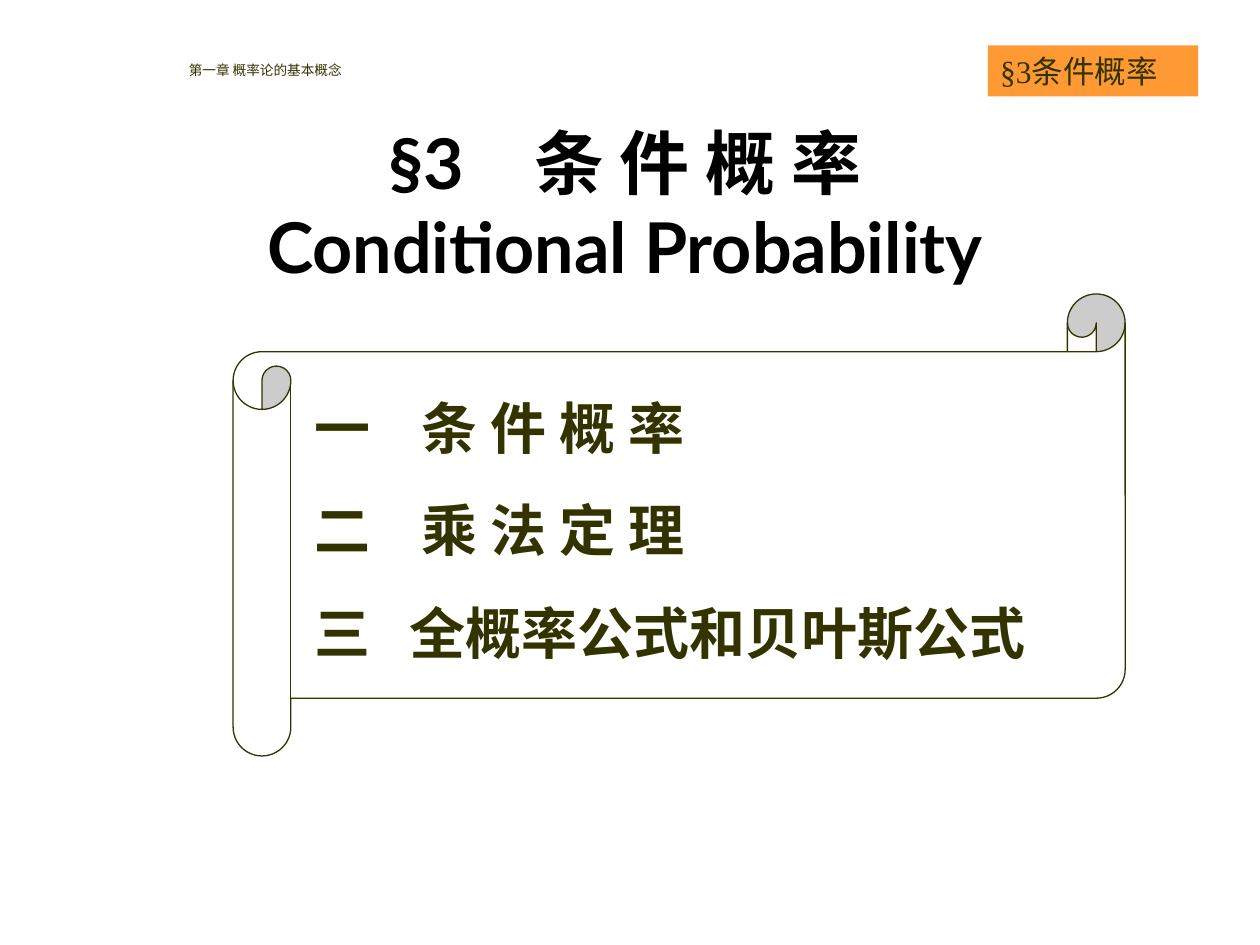
import pptx
import pptx.dml.color
import pptx.enum.shapes
import pptx.enum.text
import pptx.oxml.ns
import pptx.util
from lxml import etree

# Content
CHAPTER = "第一章 概率论的基本概念"
BADGE = "§3条件概率"
TITLE = ["§3　条 件 概 率", "Conditional Probability"]
# Number, topic, distance of the topic from the left inset in inches
TOPICS = [
    ("一", "条 件 概 率", 0.85),
    ("二", "乘 法 定 理", 0.85),
    ("三", "全概率公式和贝叶斯公式", 0.75),
]

# Style
COLORS = {"ink": "333300", "black": "000000", "paper": "FFFFFF", "badge": "FF9933"}
CHINESE = "Noto Sans CJK SC"
SHAPES = pptx.enum.shapes.MSO_SHAPE
ANCHOR = pptx.enum.text.MSO_ANCHOR
ALIGN = pptx.enum.text.PP_ALIGN

# Places as left, top, width, height in shares of the slide
WIDTH, HEIGHT = 10, 7.5
PLACES = {
    "scroll": (0.185, 0.311, 0.708, 0.489),
    "topics": (0.24, 0.41, 0.65, 0.3),
    "chapter": (0.14, 0.059, 0.85, 0.033),
    "badge": (0.784, 0.048, 0.167, 0.054),
    "title": (0.059, 0.143, 0.874, 0.168),
}


def box(name):
    left, top, width, height = PLACES[name]
    return [pptx.util.Inches(length) for length in
            (left * WIDTH, top * HEIGHT, width * WIDTH, height * HEIGHT)]


def color(name):
    return pptx.dml.color.RGBColor.from_string(COLORS[name])


def add_panel(slide, name, kind, fill, line=None):
    shape = slide.shapes.add_shape(kind, *box(name))
    shape.shadow.inherit = False
    shape.fill.solid()
    shape.fill.fore_color.rgb = color(fill)
    if line:
        shape.line.color.rgb = color(line)
        shape.line.width = pptx.util.Pt(0.75)
    else:
        shape.line.fill.background()
    return shape


def write(shape, lines, *, size, font=CHINESE, ink="ink", bold=False, align=ALIGN.LEFT,
          anchor=ANCHOR.TOP, spacing=None, gap=0, tabs=()):
    frame = shape.text_frame
    frame.word_wrap = True
    frame.vertical_anchor = anchor
    for index, line in enumerate(lines):
        paragraph = frame.paragraphs[0] if index == 0 else frame.add_paragraph()
        paragraph.alignment = align
        if spacing:
            paragraph.line_spacing = spacing
        if index and gap:
            paragraph.space_before = pptx.util.Pt(gap)
        if tabs:
            properties = paragraph._p.get_or_add_pPr()
            stops = etree.SubElement(properties, pptx.oxml.ns.qn("a:tabLst"))
            etree.SubElement(stops, pptx.oxml.ns.qn("a:tab"),
                             pos=str(pptx.util.Inches(tabs[index])), algn="l")
        paragraph.text = line
        for run in paragraph.runs:
            run.font.size = pptx.util.Pt(size)
            run.font.bold = bold
            run.font.name = font
            run.font.color.rgb = color(ink)
            east_asian = etree.SubElement(run.font._element, pptx.oxml.ns.qn("a:ea"))
            east_asian.set("typeface", CHINESE)


def main():
    presentation = pptx.Presentation()
    presentation.slide_width = pptx.util.Inches(WIDTH)
    presentation.slide_height = pptx.util.Inches(HEIGHT)
    slide = presentation.slides.add_slide(presentation.slide_layouts[6])

    # Scroll with the list of topics
    add_panel(slide, "scroll", SHAPES.HORIZONTAL_SCROLL, "paper", "ink")
    write(slide.shapes.add_textbox(*box("topics")),
          [f"{number}\t{topic}" for number, topic, _ in TOPICS],
          size=32, bold=True, spacing=pptx.util.Pt(38.4), gap=20,
          tabs=[tab for _, _, tab in TOPICS])

    # Chapter line and section badge
    write(slide.shapes.add_textbox(*box("chapter")), [CHAPTER],
          size=7.8, anchor=ANCHOR.MIDDLE, spacing=0.8)
    write(add_panel(slide, "badge", SHAPES.RECTANGLE, "badge"), [BADGE],
          size=18, font="Times New Roman", anchor=ANCHOR.MIDDLE)

    # Title, two lines of one paragraph
    write(slide.shapes.add_textbox(*box("title")), ["\v".join(TITLE)],
          size=40, font="Lato", ink="black", bold=True, align=ALIGN.CENTER,
          anchor=ANCHOR.BOTTOM, spacing=pptx.util.Pt(48))

    presentation.save("out.pptx")


if __name__ == "__main__":
    main()
